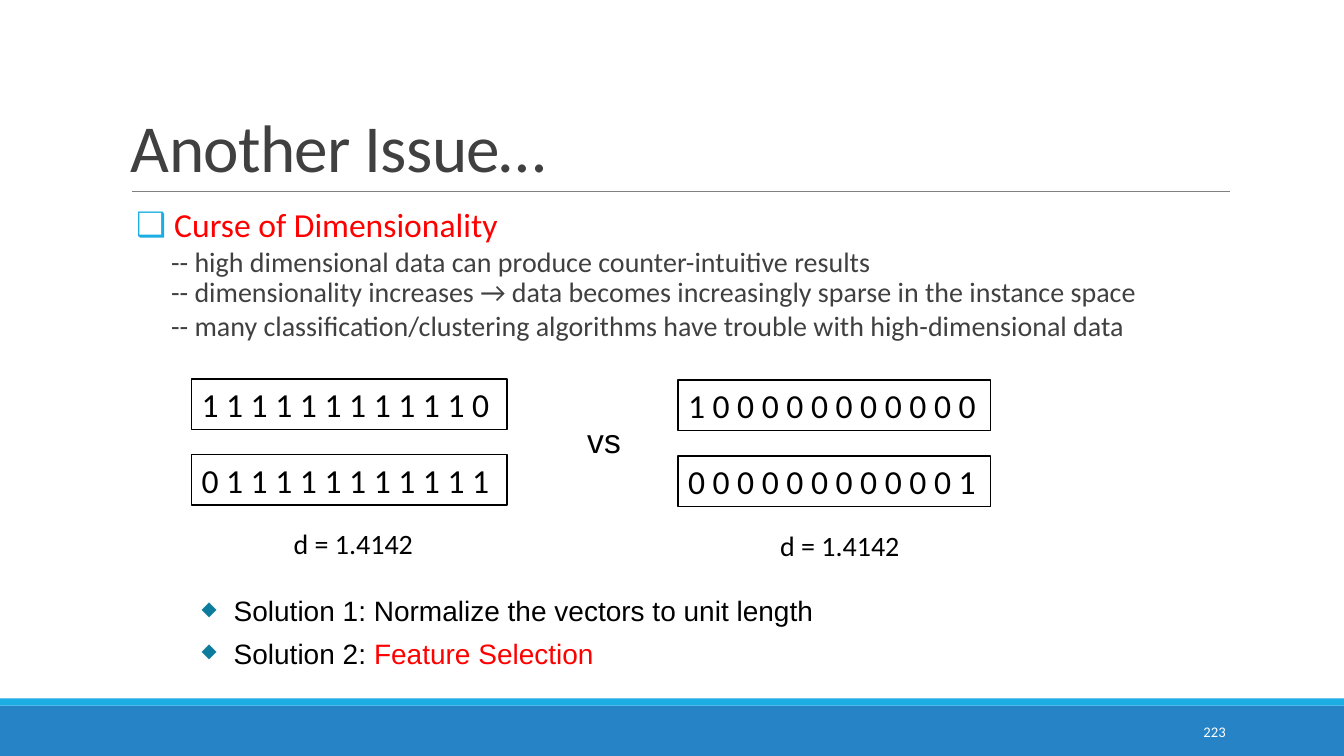
import pptx
import pptx.util
import pptx.dml.color
import pptx.enum.shapes
import pptx.enum.text
import pptx.oxml
import pptx.oxml.ns
from dataclasses import dataclass

Cm, Pt = pptx.util.Cm, pptx.util.Pt
ALIGN, ANCHOR = pptx.enum.text.PP_ALIGN, pptx.enum.text.MSO_ANCHOR
RECT = pptx.enum.shapes.MSO_SHAPE.RECTANGLE


@dataclass(frozen=True)
class Theme:
    """Colours, fonts and type sizes."""
    blue: str = "2683C6"
    cyan: str = "1CADE4"
    teal: str = "0C7B9C"
    grey: str = "404040"
    rule: str = "808080"
    black: str = "000000"
    red: str = "FF0000"
    white: str = "FFFFFF"
    sans: str = "Calibri"
    alt: str = "Arial"
    title: float = 48
    large: float = 24
    medium: float = 20
    small: float = 10.5


T = Theme()


def rgb(color):
    """Turn a hex string into a colour."""
    return pptx.dml.color.RGBColor.from_string(color)


def child(parent, tag, **attrs):
    """Append a drawing element with attributes."""
    el = pptx.oxml.parse_xml(f"<a:{tag} {pptx.oxml.ns.nsdecls('a')}/>")
    for name, value in attrs.items():
        el.set(name, str(value))
    parent.append(el)
    return el


def write(p, *parts, size=T.medium, color=T.black, font=T.sans, align=ALIGN.LEFT,
          level=0, margin=0, indent=0, line=1.0, before=0, after=0,
          bullet=None, bullet_color=None, bullet_size=100, tracking=0):
    """Fill a paragraph with strings or (string, colour) pairs and format it."""
    p.alignment, p.level, p.line_spacing = align, level, line
    p.space_before, p.space_after = Pt(before), Pt(after)
    pPr = p._p.get_or_add_pPr()
    pPr.set("marL", str(Cm(margin)))
    pPr.set("indent", str(Cm(indent)))
    if bullet:
        child(child(pPr, "buClr"), "srgbClr", val=bullet_color)
        child(pPr, "buSzPct", val=bullet_size * 1000)
        child(pPr, "buChar", char=bullet)
    else:
        child(pPr, "buNone")
    for part in parts:
        text, tint = (part, color) if isinstance(part, str) else part
        r = p.add_run()
        r.text = text
        r.font.size, r.font.name = Pt(size), font
        r.font.color.rgb = rgb(tint)
        if tracking:
            r._r.get_or_add_rPr().set("spc", str(tracking))


def frame(sp, anchor=ANCHOR.TOP, wrap=True, insets=(0.25, 0.13)):
    """Prepare the text frame of a shape."""
    tf = sp.text_frame
    tf.word_wrap, tf.vertical_anchor = wrap, anchor
    tf.auto_size = pptx.enum.text.MSO_AUTO_SIZE.NONE
    tf.margin_left = tf.margin_right = Cm(insets[0])
    tf.margin_top = tf.margin_bottom = Cm(insets[1])
    return tf


def place(sp, box):
    """Move a placeholder to a box in centimetres."""
    sp.left, sp.top, sp.width, sp.height = map(Cm, box)
    return sp


def add_text(s, box, *parts, anchor=ANCHOR.TOP, **fmt):
    """Add a one-paragraph text box."""
    tf = frame(s.shapes.add_textbox(*map(Cm, box)), anchor)
    write(tf.paragraphs[0], *parts, **fmt)
    return tf


def add_rect(s, box, fill=None, line=None):
    """Add a rectangle with an optional fill and outline."""
    sp = s.shapes.add_shape(RECT, *map(Cm, box))
    sp.shadow.inherit = False
    if fill:
        sp.fill.solid()
        sp.fill.fore_color.rgb = rgb(fill)
    else:
        sp.fill.background()
    if line:
        sp.line.color.rgb, sp.line.width = rgb(line), Pt(1)
    else:
        sp.line.fill.background()
    return sp


def add_footer(s, box, number):
    """Draw the two-tone bottom band and the slide number."""
    x, y, w, h = box
    strip = 0.18
    add_rect(s, (x, y + strip, w, h - strip), fill=T.blue)
    add_rect(s, (x, y, w, strip), fill=T.cyan)
    add_text(s, (x + 27.51, y + 0.33, 3.63, 1.02), number, anchor=ANCHOR.MIDDLE,
             size=T.small, color=T.white, align=ALIGN.RIGHT)


def add_title(s, box, text):
    """Fill the title placeholder and rule off its lower edge."""
    x, y, w, h = box
    tf = frame(place(s.shapes.title, box), ANCHOR.BOTTOM)
    write(tf.paragraphs[0], text, size=T.title, color=T.grey, line=0.85, tracking=-50)
    rule_y = Cm(y + h)
    ln = s.shapes.add_connector(pptx.enum.shapes.MSO_CONNECTOR.STRAIGHT,
                                Cm(x + 0.28), rule_y, Cm(x + w), rule_y)
    ln.line.color.rgb, ln.line.width = rgb(T.rule), Pt(0.5)
    child(ln._element.spPr, "effectLst")


def add_points(s, box, heading, points):
    """Fill the body placeholder with a bulleted heading and its points."""
    tf = frame(place(s.placeholders[1], box), insets=(0, 0.13))
    write(tf.paragraphs[0], heading, size=T.large, color=T.red, line=0.9, before=12,
          after=2, margin=0.96, indent=-0.96, bullet="❑", bullet_color=T.cyan)
    for i, point in enumerate(points):
        write(tf.add_paragraph(), "-- " + point, color=T.grey, level=1, margin=0.88,
              line=0.9, before=3 if i == len(points) - 1 else 0)


def add_vectors(s, box, vectors, distance):
    """Stack outlined vectors with their distance underneath."""
    x, y, w, h = box
    pitch = 1.91
    for i, vector in enumerate(vectors):
        sp = add_rect(s, (x, y + i * pitch, w, h), line=T.black)
        write(frame(sp, wrap=False).paragraphs[0], " ".join(vector), size=T.large)
    add_text(s, (x + 2.32, y + 3.6, 4.65, 1.09), distance)


def add_solutions(s, box, solutions):
    """List the solutions with diamond bullets."""
    tf = frame(s.shapes.add_textbox(*map(Cm, box)))
    for i, parts in enumerate(solutions):
        p = tf.add_paragraph() if i else tf.paragraphs[0]
        write(p, *parts, font=T.alt, level=2, margin=3.35, indent=-0.81, before=2.5,
              after=4, bullet="◆", bullet_color=T.teal, bullet_size=70)


prs = pptx.Presentation()
prs.slide_width, prs.slide_height = Cm(33.87), Cm(19.05)
s = prs.slides.add_slide(prs.slide_layouts[1])

add_footer(s, (0, 17.6, 33.87, 1.45), "223")
add_title(s, (3.05, 0.79, 27.94, 4.04), "Another Issue…")
add_points(s, (3.43, 5.13, 27.56, 12.5), "Curse of Dimensionality", [
    "high dimensional data can produce counter-intuitive results",
    "dimensionality increases → data becomes increasingly sparse in the instance space",
    "many classification/clustering algorithms have trouble with high-dimensional data",
])
ones, zeros = "1" * 11, "0" * 11
add_vectors(s, (4.83, 9.55, 7.95, 1.27), [ones + "0", "0" + ones], "d = 1.4142")
add_vectors(s, (17.09, 9.58, 7.87, 1.27), ["1" + zeros, zeros + "1"], "d = 1.4142")
add_text(s, (14.55, 10.44, 1.55, 1.7), "vs", size=T.large, font=T.alt)
add_solutions(s, (2.29, 14.83, 26.09, 2.9), [
    ["Solution 1: Normalize the vectors to unit length"],
    ["Solution 2: ", ("Feature Selection", T.red)],
])
prs.save("out.pptx")
